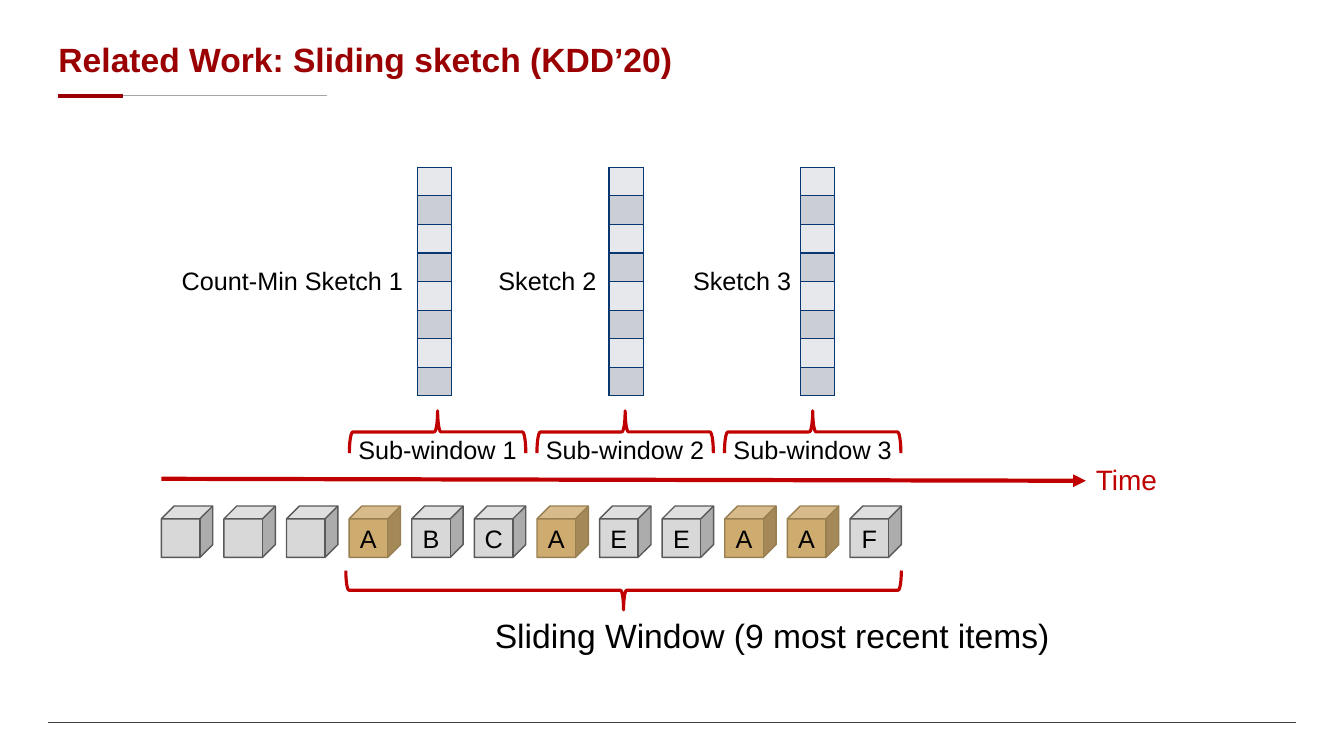
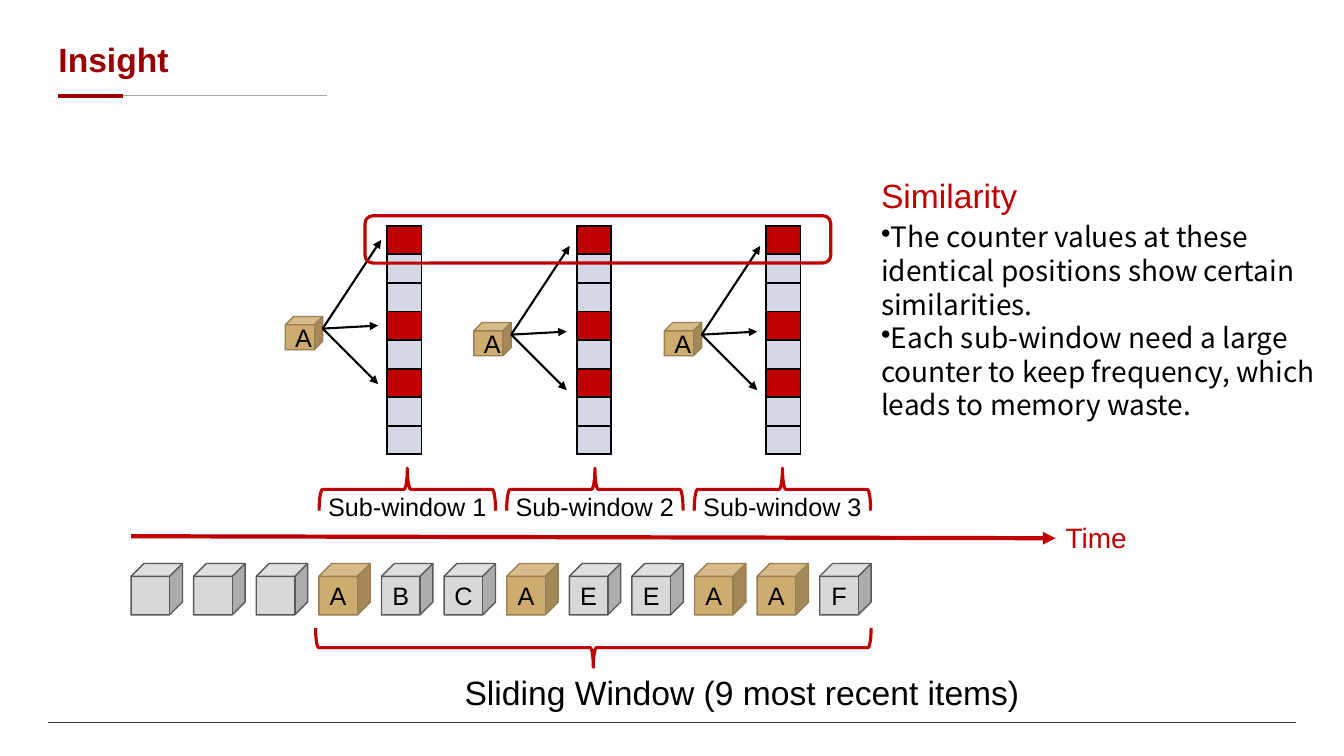
import pptx
import pptx.util
import pptx.dml.color
import pptx.enum.shapes
import pptx.enum.text
import pptx.oxml.ns
from lxml import etree

Inches, Pt = pptx.util.Inches, pptx.util.Pt
qn = pptx.oxml.ns.qn
SHAPE = pptx.enum.shapes.MSO_SHAPE
ALIGN = pptx.enum.text.PP_ALIGN
MIDDLE = pptx.enum.text.MSO_ANCHOR.MIDDLE

COLORS = {
    "title": "9A0001", "accent": "C00000", "text": "000000",
    "rule": "A6A6A6", "footer": "404040",
    "grey": "D8D8D8", "grey_edge": "595959",
    "gold": "CEAB6E", "gold_edge": "987F51",
    "sketch_edge": "063771", "light": "E7E8EB", "dark": "CCCED5",
    "counter": "D4D8E6",
}
TITLE = {"size": Pt(24), "name": "Arial", "bold": True}
HEADING = {"size": Pt(24), "name": "Arial"}
AXIS = {"size": Pt(20), "name": "Arial"}
LABEL = {"size": Pt(18), "name": "Arial"}
BODY = {"size": Pt(20), "name": "Noto Sans CJK SC"}
ITEMS = ["", "", "", "A", "B", "C", "A", "E", "E", "A", "A", "F"]
SUB_WINDOWS = 3
COUNTERS = 8


def rgb(key):
    """Return the named colour."""
    return pptx.dml.color.RGBColor.from_string(COLORS[key])


def write(p, text, style, color="text"):
    """Add a formatted run to a paragraph."""
    r = p.add_run()
    r.text = text
    for name, value in style.items():
        setattr(r.font, name, value)
    r.font.color.rgb = rgb(color)


def add_text(s, x, y, w, h, text, style, color="text", align=ALIGN.LEFT):
    """Add a wrapping text box and return its text frame."""
    tf = s.shapes.add_textbox(Inches(x), Inches(y), Inches(w), Inches(h)).text_frame
    tf.word_wrap = True
    tf.auto_size = pptx.enum.text.MSO_AUTO_SIZE.SHAPE_TO_FIT_TEXT
    tf.paragraphs[0].alignment = align
    write(tf.paragraphs[0], text, style, color)
    return tf


def add_line(s, x1, y1, x2, y2, color, width, arrow=False):
    """Add a straight line, with an arrowhead at its end if wanted."""
    c = s.shapes.add_connector(pptx.enum.shapes.MSO_CONNECTOR.STRAIGHT,
                               Inches(x1), Inches(y1), Inches(x2), Inches(y2))
    c.line.color.rgb = rgb(color)
    c.line.width = Pt(width)
    spPr = c._element.spPr
    if arrow:
        etree.SubElement(spPr.find(qn("a:ln")), qn("a:tailEnd"), type="triangle")
    etree.SubElement(spPr, qn("a:effectLst"))


def add_shape(s, kind, x, y, w, h, edge, width, fill=None):
    """Add an outlined preset shape, filled if a colour is given."""
    sp = s.shapes.add_shape(kind, Inches(x), Inches(y), Inches(w), Inches(h))
    sp.shadow.inherit = False
    if fill:
        sp.fill.solid()
        sp.fill.fore_color.rgb = rgb(fill)
    else:
        sp.fill.background()
    sp.line.color.rgb = rgb(edge)
    sp.line.width = Pt(width)
    return sp


def add_brace(s, x, y, w, h, rotation):
    """Add a rotated red brace."""
    sp = add_shape(s, SHAPE.LEFT_BRACE, x, y, w, h, "accent", 2.25)
    sp.rotation = rotation
    sp.adjustments[0] = 0.08
    sp.adjustments[1] = 0.5


def add_cube(s, x, y, w, h, item):
    """Add a stream item, golden for item A."""
    color = "gold" if item == "A" else "grey"
    sp = add_shape(s, SHAPE.CUBE, x, y, w, h, color + "_edge", 1, color)
    if item:
        tf = sp.text_frame
        tf.vertical_anchor = MIDDLE
        tf.paragraphs[0].alignment = ALIGN.CENTER
        write(tf.paragraphs[0], item, LABEL)


def add_sketch(s, x, y, fills, edge, width):
    """Add a one-column table of counters."""
    w, h = Inches(0.34), Inches(2.27)
    table = s.shapes.add_table(len(fills), 1, Inches(x), Inches(y), w, h).table
    table.first_row = table.horz_banding = False
    for row, fill in zip(table.rows, fills):
        row.height = h // len(fills)
        cell = row.cells[0]
        for side in ("left", "right", "top", "bottom"):
            setattr(cell, "margin_" + side, 0)
        cell.fill.solid()
        cell.fill.fore_color.rgb = rgb(fill)
        etree.SubElement(cell.text_frame.paragraphs[0]._p, qn("a:endParaRPr"), sz="1000")
        tcPr = cell._tc.get_or_add_tcPr()
        for i, side in enumerate("LRTB"):
            ln = etree.Element(qn("a:ln" + side), w=str(Pt(width)))
            paint = etree.SubElement(ln, qn("a:solidFill"))
            etree.SubElement(paint, qn("a:srgbClr"), val=COLORS[edge])
            tcPr.insert(i, ln)


def add_bullet(tf, text, space_before=0):
    """Add a bulleted paragraph to a text frame."""
    p = tf.add_paragraph()
    pPr = p._p.get_or_add_pPr()
    pPr.set("marL", "0")
    pPr.set("indent", str(Inches(-0.38)))
    etree.SubElement(pPr, qn("a:buChar"), char="•")
    p.line_spacing = Pt(24)
    p.space_before = Pt(space_before)
    write(p, text, BODY)


def add_slide(prs, title):
    """Add a slide with its title, title rule and footer line."""
    s = prs.slides.add_slide(prs.slide_layouts[5])
    add_line(s, 0.58, 0.95, 3.24, 0.95, "rule", 0.5)
    add_line(s, 0.58, 0.95, 1.22, 0.95, "title", 3)
    sp = s.shapes.title
    box = {"left": 0.48, "top": 0.27, "width": 9.9, "height": 0.68}
    for name, value in box.items():
        setattr(sp, name, Inches(value))
    tf = sp.text_frame
    tf.vertical_anchor = MIDDLE
    p = tf.paragraphs[0]
    p.alignment = ALIGN.LEFT
    p.line_spacing = 0.9
    write(p, title, TITLE, "title")
    add_line(s, 0.48, 7.17, 12.85, 7.17, "footer", 0.5)
    return s


def add_timeline(s, x, y):
    """Add the item stream with its windows, the time axis starting at x, y."""
    add_brace(s, x + 4.39, y - 1.65, 0.39, 5.51, 270)
    for i, item in enumerate(ITEMS):
        add_cube(s, x + 6.83 / 11 * i, y + 0.27, 0.51, 0.51, item)
    add_line(s, x, y, x + 9.17, y + 0.02, "accent", 3, arrow=True)
    add_text(s, x + 9.17, y - 0.21, 1.03, 0.44, "Time", AXIS, "accent")
    add_text(s, x + 3.21, y + 1.3, 7.03, 0.5,
             "Sliding Window (9 most recent items)", HEADING)
    for i in range(SUB_WINDOWS):
        left = x + 1.86 * i
        add_brace(s, left + 2.53, y - 1.34, 0.42, 1.75, 90)
        add_text(s, left + 1.5, y - 0.49, 2.48, 0.4,
                 f"Sub-window {i + 1}", LABEL, align=ALIGN.CENTER)


def add_related_work(prs):
    """Add the slide on one sketch for each sub-window."""
    s = add_slide(prs, "Related Work: Sliding sketch (KDD’20)")
    add_timeline(s, 1.6, 4.75)
    labels = [(1.66, "Count-Min Sketch 1"), (4.19, "Sketch 2"), (6.12, "Sketch 3")]
    for i, (x, text) in enumerate(labels):
        add_sketch(s, 4.14 + 1.9 * i, 1.66, ["light", "dark"] * (COUNTERS // 2),
                   "sketch_edge", 1)
        add_text(s, x, 2.58, 2.48, 0.4, text, LABEL, align=ALIGN.CENTER)


def add_insight(prs):
    """Add the slide on similar counters across the sub-windows."""
    s = add_slide(prs, "Insight")
    add_timeline(s, 1.3, 5.32)
    fills = ["accent" if i in (0, 3, 5) else "counter" for i in range(COUNTERS)]
    hashed = [(2.83, 3.14), (4.7, 3.2), (6.59, 3.2)]
    for i, (x, y) in enumerate(hashed):
        add_sketch(s, 3.84 + 1.88 * i, 2.24, fills, "text", 1.5)
        add_cube(s, x, y, 0.37, 0.33, "A")
        x1, y1 = x + 0.37, y + 0.12
        for dx, dy in [(0.58, -0.88), (0.55, -0.03), (0.55, 0.55)]:
            add_line(s, x1, y1, x1 + dx, y1 + dy, "text", 1.5, arrow=True)
    add_shape(s, SHAPE.ROUNDED_RECTANGLE, 3.62, 2.14, 4.62, 0.47, "accent", 2.25)
    tf = add_text(s, 8.64, 1.69, 4.67, 3.26, "Similarity", HEADING, "accent")
    add_bullet(tf, "The counter values at these identical positions show "
                   "certain similarities.", 3)
    add_bullet(tf, "Each sub-window need a large counter to keep frequency, "
                   "which leads to memory waste.")


def main():
    """Build and save the presentation."""
    prs = pptx.Presentation()
    prs.slide_width, prs.slide_height = Inches(13.33), Inches(7.5)
    add_related_work(prs)
    add_insight(prs)
    prs.save("out.pptx")


if __name__ == "__main__":
    main()
